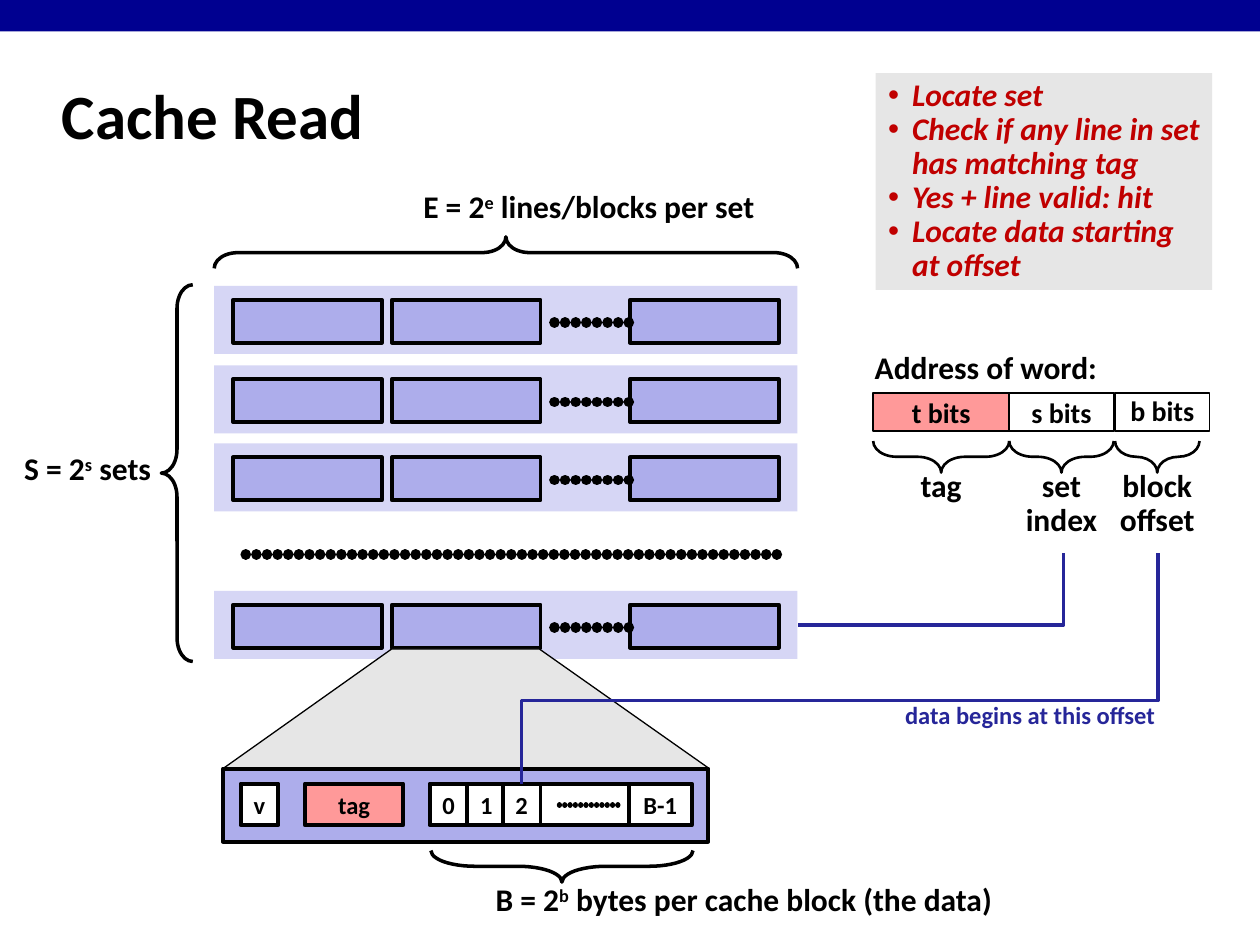
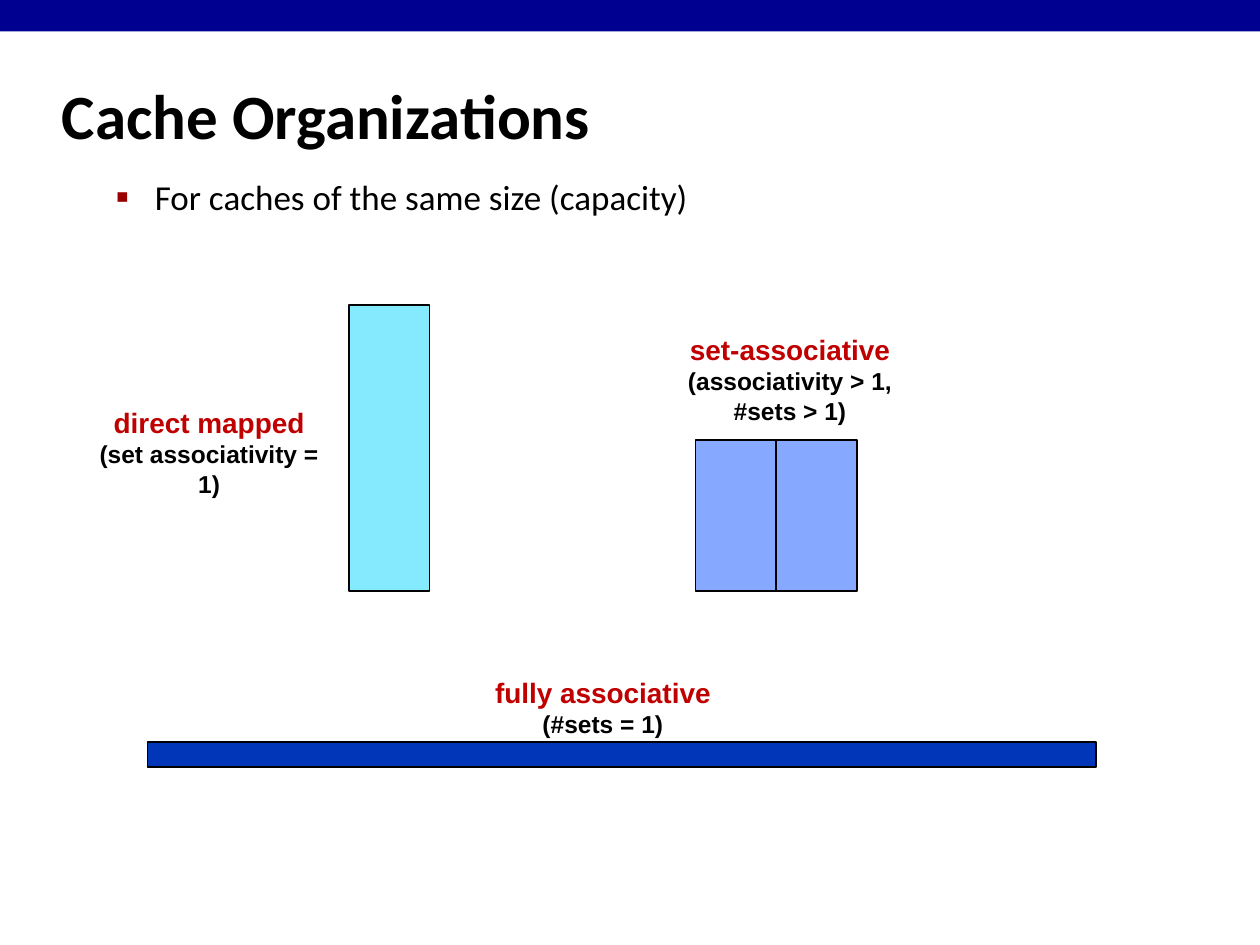
from dataclasses import dataclass, replace

import pptx
import pptx.dml.color
import pptx.enum.shapes
import pptx.enum.text
import pptx.oxml
import pptx.oxml.ns
import pptx.util
from pptx.util import Inches

KIND = pptx.enum.shapes.MSO_SHAPE
LINK = pptx.enum.shapes.MSO_CONNECTOR
ALIGN = pptx.enum.text.PP_ALIGN
MID = pptx.enum.text.MSO_ANCHOR.MIDDLE
TOP = pptx.enum.text.MSO_ANCHOR.TOP


@dataclass(frozen=True)
class Theme:
    band: str = "000090"
    ink: str = "000000"
    paper: str = "FFFFFF"
    red: str = "C00000"
    mark: str = "990000"
    row: str = "D6D6F5"
    block: str = "ADADEB"
    pink: str = "FF9999"
    gray: str = "E6E6E6"
    wire: str = "262699"
    cyan: str = "86EAFE"
    sky: str = "86A8FE"
    deep: str = "0236B8"
    font: str = "Calibri"
    sans: str = "Arial"
    head: int = 36
    body: int = 20
    big: int = 18
    mid: int = 16
    small: int = 14


T = Theme()


@dataclass(frozen=True)
class Look:
    size: int = T.big
    color: str = T.ink
    font: str = T.font
    bold: bool = True
    slant: bool = False
    raised: bool = False


PLAIN = Look()
SMALL = Look(size=T.small)
FIELD = Look(size=T.mid)
NAME = Look(size=T.mid, color=T.red, font=T.sans)
NOTE = Look(size=T.small, font=T.sans)


def rgb(code):
    return pptx.dml.color.RGBColor.from_string(code)


def node(tag, **attrs):
    item = pptx.oxml.parse_xml(f"<a:{tag} {pptx.oxml.ns.nsdecls('a')}/>")
    for key, value in attrs.items():
        item.set(key, str(value))
    return item


def add_run(para, text, look):
    for count, part in enumerate(text.split("\n")):
        if count:
            para.add_line_break()
        run = para.add_run()
        run.text = part
        font = run.font
        font.name, font.size = look.font, pptx.util.Pt(look.size)
        font.bold, font.italic = look.bold, look.slant
        font.color.rgb = rgb(look.color)
        if look.raised:
            font._element.set("baseline", "30000")


def write(frame, paras, align=ALIGN.CENTER, anchor=TOP, space=None, wrap=False):
    frame.word_wrap = wrap
    frame.vertical_anchor = anchor
    for count, runs in enumerate(paras):
        para = frame.add_paragraph() if count else frame.paragraphs[0]
        para.alignment = align
        if space:
            para.line_spacing = space
        for text, look in runs:
            add_run(para, text, look)


def bullet(para, sign, color, left, hang, scale=100):
    props = para._p.get_or_add_pPr()
    props.set("marL", str(Inches(left)))
    props.set("indent", str(-Inches(hang)))
    tint = node("buClr")
    tint.append(node("srgbClr", val=color))
    props.extend([tint, node("buSzPct", val=scale * 1000),
                  node("buFont", typeface=T.sans), node("buChar", char=sign)])


def label(page, box, paras, space=None, **more):
    item = page.shapes.add_textbox(*map(Inches, box))
    write(item.text_frame, paras, space=space, **more)
    return item


def paint(item, fill, line, width):
    item.shadow.inherit = False
    if fill:
        item.fill.solid()
        item.fill.fore_color.rgb = rgb(fill)
    else:
        item.fill.background()
    if width:
        item.line.color.rgb = rgb(line)
        item.line.width = pptx.util.Pt(width)
    else:
        item.line.fill.background()


def rect(page, box, fill, width=0.0):
    item = page.shapes.add_shape(KIND.RECTANGLE, *map(Inches, box))
    paint(item, fill, T.ink, width)
    return item


def cell(page, box, fill, text):
    item = rect(page, box, fill, 2.25)
    frame = item.text_frame
    frame.margin_left = frame.margin_right = frame.margin_top = frame.margin_bottom = 0
    write(frame, [[(text, SMALL)]], anchor=MID)


def brace(page, box, turn, width, curve=0.75):
    left, top, wide, high = box
    if turn:
        left, top = left + (wide - high) / 2, top + (high - wide) / 2
        wide, high = high, wide
    item = page.shapes.add_shape(KIND.LEFT_BRACE, *map(Inches, (left, top, wide, high)))
    item.adjustments[0] = curve
    item.rotation = turn
    paint(item, None, T.ink, width)


def wire(page, kind, ends, color, width):
    item = page.shapes.add_connector(kind, *map(Inches, ends))
    item.line.color.rgb = rgb(color)
    item.line.width = pptx.util.Pt(width)
    item._element.spPr.append(node("effectLst"))
    return item


def dots(page, left, right, y, width):
    item = wire(page, LINK.STRAIGHT, (left, y, right, y), T.ink, width)
    edge = item.line._get_or_add_ln()
    edge.set("cap", "rnd")
    dash = node("custDash")
    dash.append(node("ds", d=100000, sp=1000))
    edge.append(dash)


def elbow(page, start, end, bends, bend_at=None):
    (right, top), (left, low) = start, end
    wide, high = low - top, right - left
    x, y = (left + right - wide) / 2, (top + low - high) / 2
    item = wire(page, LINK.ELBOW, (x, y, x + wide, y + high), T.wire, 2)
    item._element.spPr.xfrm.set("rot", "5400000")
    shape = item._element.spPr.find(pptx.oxml.ns.qn("a:prstGeom"))
    shape.set("prst", f"bentConnector{bends + 1}")
    if bend_at:
        guide = shape.find(pptx.oxml.ns.qn("a:avLst"))
        guide.append(node("gd", name="adj1", fmla=f"val {round(bend_at * 100000)}"))


def power(letter, mark, rest):
    return [[(f"{letter} = 2", PLAIN), (mark, replace(PLAIN, raised=True)), (rest, PLAIN)]]


def new_page(deck, title):
    page = deck.slides.add_slide(deck.slide_layouts[5])
    head = page.shapes.title
    head.left, head.top, head.width, head.height = map(Inches, (0.39, 0.49, 8.3, 0.83))
    head.text_frame.auto_size = pptx.enum.text.MSO_AUTO_SIZE.NONE
    write(head.text_frame, [[(title, Look(size=T.head))]], ALIGN.LEFT, MID, wrap=True)
    return page


def add_band(page):
    band = rect(page, (0, 0, 10, 0.25), T.band)
    page.slide_layout.shapes._spTree.insert(2, band._element)


def draw_sets(page):
    brace(page, (1.7, 1.88, 4.63, 0.25), 90, 2)
    for top in (2.27, 2.9, 3.52, 4.69):
        rect(page, (1.7, top, 4.63, 0.54), T.row)
        for left in (1.85, 3.11, 5):
            rect(page, (left, top + 0.11, 1.18, 0.34), T.block, 2.25)
        dots(page, 4.4, 5.01, top + 0.29, 6)
    dots(page, 1.95, 6.19, 4.4, 6)
    brace(page, (1.28, 2.26, 0.25, 2.99), 0, 2)
    label(page, (3.26, 1.47, 2.83, 0.37), power("E", "e", " lines/blocks per set"), 0.9)
    label(page, (0.09, 3.55, 1.21, 0.37), power("S", "s", " sets"), 0.9)


def draw_block(page):
    path = page.shapes.build_freeform(Inches(1.77), Inches(6.1), 1.0)
    corners = ((3.11, 5.15), (4.28, 5.15), (5.63, 6.1))
    path.add_line_segments([(Inches(x), Inches(y)) for x, y in corners], close=True)
    paint(path.convert_to_shape(), T.gray, T.ink, 0.75)
    rect(page, (1.77, 6.1, 3.85, 0.58), T.block, 2.25)
    for left, wide, fill, text in (
        (3.41, 0.3, T.paper, "0"), (3.71, 0.3, T.paper, "1"),
        (3.99, 0.3, T.paper, "2"), (4.99, 0.5, T.paper, "B-1"),
        (2.42, 0.78, T.pink, "tag"), (1.91, 0.3, T.paper, "v"),
    ):
        cell(page, (left, 6.22, wide, 0.33), fill, text)
    rect(page, (4.29, 6.22, 0.7, 0.33), T.paper, 2.25)
    dots(page, 4.44, 4.94, 6.39, 3)
    brace(page, (3.42, 6.75, 2.08, 0.25), 270, 2, 1.39)
    data = power("B", "b", " bytes per cache block (the data)")
    label(page, (3.83, 6.97, 4.15, 0.37), data, 0.9)


def draw_address(page):
    label(page, (6.84, 2.75, 1.97, 0.37), [[("Address of word:", PLAIN)]], 0.9)
    for left, wide, span, fill, bits, names, space in (
        (6.93, 1.08, 1.08, T.pink, "t bits", ["tag"], None),
        (8.01, 0.83, 0.83, T.paper, "s bits", ["set", "index"], None),
        (8.85, 0.75, 0.67, T.paper, "b bits", ["block", "offset"], 0.9),
    ):
        item = rect(page, (left, 3.12, wide, 0.3), fill, 1)
        write(item.text_frame, [[(bits, FIELD)]], anchor=MID, space=space)
        brace(page, (left, 3.5, span, 0.25), 270, 1.5, min(0.75, span))
        high = 0.1 + 0.27 * len(names)
        label(page, (left + span / 2 - 0.4, 3.68, 0.8, high),
              [[(name, PLAIN)] for name in names], 0.9)
    elbow(page, (8.44, 4.39), (6.33, 4.96), 1)
    elbow(page, (9.19, 4.39), (4.14, 6.22), 2, 0.64)
    look = replace(SMALL, color=T.wire)
    label(page, (7.08, 5.53, 2.19, 0.31), [[("data begins at this offset", look)]], 0.9)


def draw_steps(page):
    steps = ("Locate set", "Check if any line in set\nhas matching tag",
             "Yes + line valid: hit", "Locate data starting\nat offset")
    look = replace(PLAIN, color=T.red, slant=True)
    frame = rect(page, (6.95, 0.58, 2.67, 1.72), T.gray).text_frame
    write(frame, [[(step, look)] for step in steps], ALIGN.LEFT, space=0.9)
    for para in frame.paragraphs:
        bullet(para, "•", T.red, 0.19, 0.19)


def draw_kinds(page):
    text = [[("For caches of the same size (capacity)", Look(size=T.body, bold=False))]]
    intro = label(page, (0.32, 1.34, 9.09, 1.33), text, align=ALIGN.LEFT, wrap=True)
    bullet(intro.text_frame.paragraphs[0], "▪", T.mark, 0.81, 0.31, 110)
    for box, fill in (
        ((2.77, 2.42, 0.64, 2.27), T.cyan), ((1.17, 5.89, 7.53, 0.2), T.deep),
        ((5.52, 3.49, 0.64, 1.2), T.sky), ((6.16, 3.49, 0.64, 1.2), T.sky),
    ):
        rect(page, box, fill, 1)
    for box, name, *notes in (
        ((0.58, 3.17, 2.16, 0.6), "direct mapped", "(set associativity = 1)"),
        ((3.83, 5.31, 1.91, 0.6), "fully associative", "(#sets = 1)"),
        ((5.36, 2.59, 1.82, 0.84), "set-associative", "(associativity > 1,", "#sets > 1)"),
    ):
        label(page, box, [[(name, NAME)], *[[(note, NOTE)] for note in notes]])


def main():
    deck = pptx.Presentation()
    deck.slide_width, deck.slide_height = Inches(10), Inches(7.5)
    read = new_page(deck, "Cache Read")
    add_band(read)
    draw_sets(read)
    draw_block(read)
    draw_address(read)
    draw_steps(read)
    draw_kinds(new_page(deck, "Cache Organizations"))
    deck.save("out.pptx")


if __name__ == "__main__":
    main()
